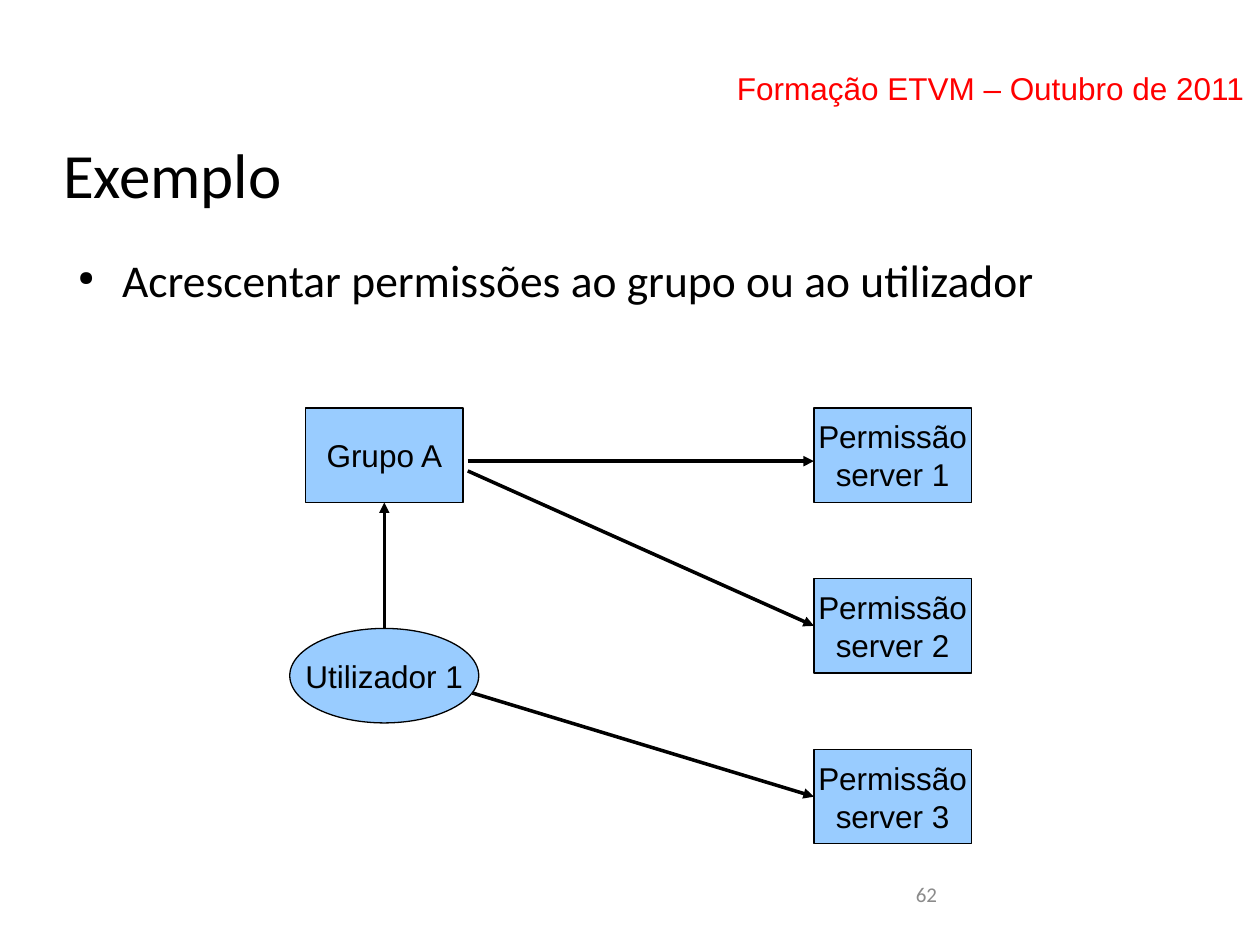
from pptx import Presentation
from pptx.dml.color import RGBColor
from pptx.enum.shapes import MSO_CONNECTOR, MSO_SHAPE
from pptx.enum.text import MSO_ANCHOR, PP_ALIGN
from pptx.oxml.ns import qn
from pptx.util import Inches, Pt
from lxml import etree

RECT, OVAL = MSO_SHAPE.RECTANGLE, MSO_SHAPE.OVAL
STRAIGHT = MSO_CONNECTOR.STRAIGHT
TOP, MIDDLE = MSO_ANCHOR.TOP, MSO_ANCHOR.MIDDLE
LEFT, CENTER = PP_ALIGN.LEFT, PP_ALIGN.CENTER
BLACK = RGBColor(0, 0, 0)
RED = RGBColor(0xFF, 0, 0)
GRAY = RGBColor(0x8B, 0x8B, 0x8B)
SKY = RGBColor(0x99, 0xCC, 0xFF)
SIDE_TOP, SIDE_LEFT, SIDE_BOTTOM = 0, 1, 2


class Deck:
    """Style and current slide, measured on a grid of 40 columns by 30 rows."""

    def __init__(self):
        self.prs = Presentation()
        self.prs.slide_width, self.prs.slide_height = Inches(10), Inches(7.5)
        self.s = self.prs.slides.add_slide(self.prs.slide_layouts[5])

    def grid(self, *cells):
        col, row = self.prs.slide_width / 40, self.prs.slide_height / 30
        return [round(c * (row if i % 2 else col)) for i, c in enumerate(cells)]

    def label(self, sp, text, size, font="Arial", color=BLACK, align=LEFT,
              anchor=TOP, wrap=True, inset=True):
        tf = sp.text_frame
        tf.text = text
        frame = {"word_wrap": wrap, "vertical_anchor": anchor}
        if not inset:
            frame |= dict.fromkeys(("margin_left", "margin_top", "margin_right", "margin_bottom"), 0)
        for name, value in frame.items():
            setattr(tf, name, value)
        for p in tf.paragraphs:
            p.alignment = align
            for r in p.runs:
                for name, value in {"size": Pt(size), "name": font}.items():
                    setattr(r.font, name, value)
                r.font.color.rgb = color
        return sp

    def title(self, text, *at):
        sp = self.s.shapes.title
        for name, value in zip(("left", "top", "width", "height"), self.grid(*at)):
            setattr(sp, name, value)
        return self.label(sp, text, 36, "Calibri", anchor=MIDDLE, inset=False)

    def text(self, text, at, size, **style):
        return self.label(self.s.shapes.add_textbox(*self.grid(*at)), text, size, **style)

    def bullet(self, text, *at):
        sp = self.text(text, at, 26, font="Calibri", inset=False)
        p = sp.text_frame.paragraphs[0]
        p.space_after = Pt(14.2)
        pPr = p._p.get_or_add_pPr()
        pPr.set("marL", str(Inches(0.47)))
        pPr.set("indent", str(Inches(-0.35)))
        etree.SubElement(pPr, qn("a:buSzPct")).set("val", "45000")
        etree.SubElement(pPr, qn("a:buChar")).set("char", "●")

    def node(self, kind, text, *at):
        sp = self.s.shapes.add_shape(kind, *self.grid(*at))
        sp.shadow.inherit = False
        sp.fill.solid()
        sp.fill.fore_color.rgb = SKY
        sp.line.color.rgb = BLACK
        sp.line.width = 0
        return self.label(sp, text, 18, align=CENTER, anchor=MIDDLE, wrap=False)

    def arrow(self, *at, begin=None, end=None):
        c = self.s.shapes.add_connector(STRAIGHT, *self.grid(*at))
        if begin:
            c.begin_connect(*begin)
        if end:
            c.end_connect(*end)
        c.line.color.rgb = BLACK
        c.line.width = 0
        ln = c._element.spPr.find(qn("a:ln"))
        etree.SubElement(ln, qn("a:tailEnd")).set("type", "triangle")
        etree.SubElement(c._element.spPr, qn("a:effectLst"))


def main():
    d = Deck()
    d.text("Formação ETVM – Outubro de 2011", (23, 2, 17, 1.5), 18, color=RED)
    d.title("Exemplo", 2, 3, 36, 5)
    d.bullet("Acrescentar permissões ao grupo ou ao utilizador", 2, 8, 36, 19.8)

    user = d.node(OVAL, "Utilizador 1", 9.2, 19.95, 6, 3)
    group = d.node(RECT, "Grupo A", 9.7, 12.95, 5, 3)
    servers = [d.node(RECT, f"Permissão\nserver {i + 1}", 25.84, 12.95 + 5.42 * i, 5, 3)
               for i in range(3)]

    d.arrow(12.2, 19.95, 12.2, 15.95, begin=(user, SIDE_TOP), end=(group, SIDE_BOTTOM))
    d.arrow(14.85, 14.64, 25.84, 14.64)
    for start, server in zip(((14.85, 14.95), (15, 22)), servers[1:]):
        d.arrow(*start, 25.84, 20, end=(server, SIDE_LEFT))

    d.text("62", (28.68, 27.8, 9.32, 1.6), 12, font="Calibri", color=GRAY)
    d.prs.save("out.pptx")


if __name__ == "__main__":
    main()
